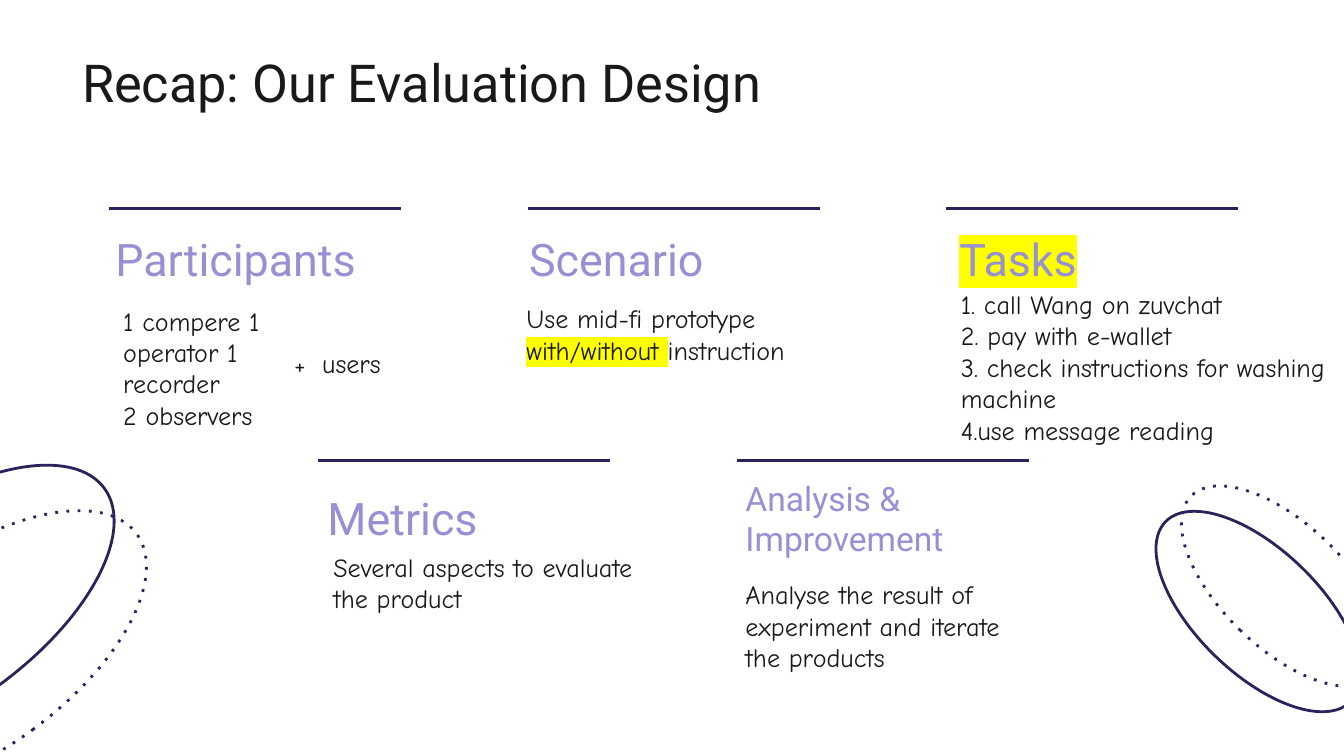
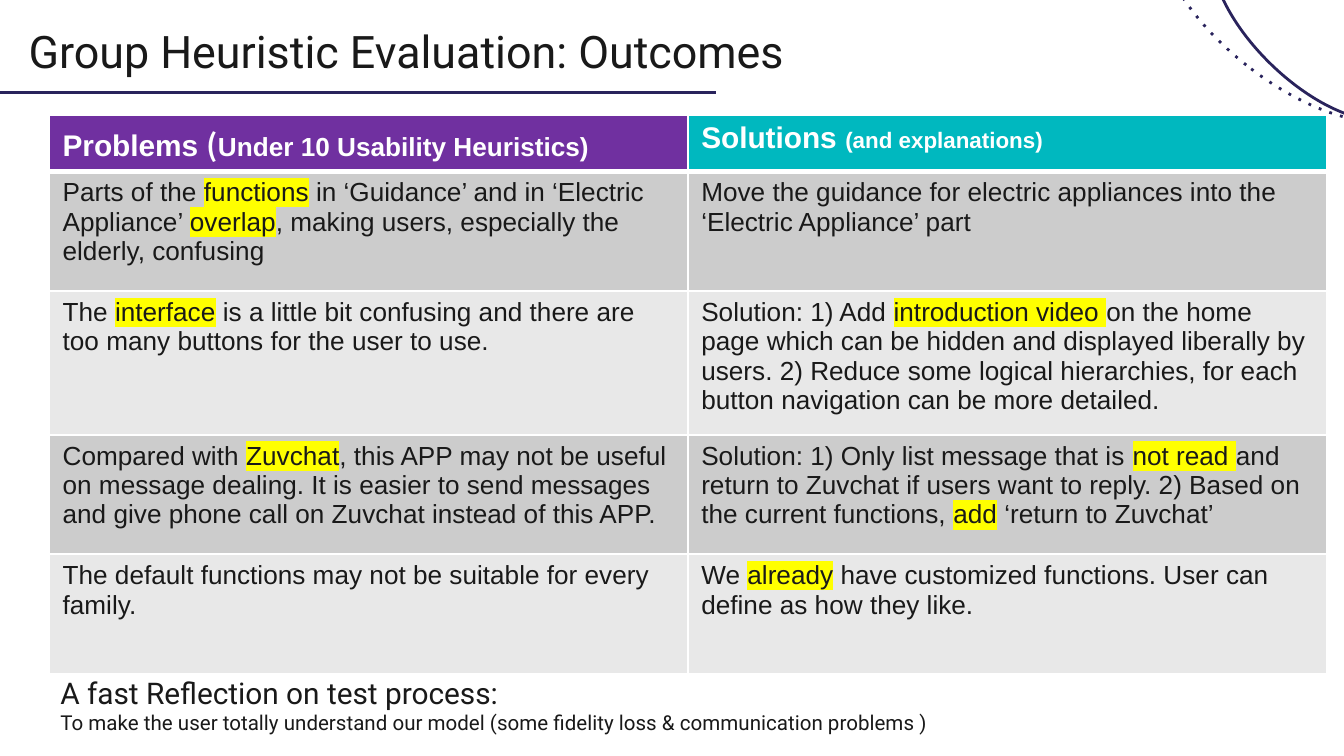
from dataclasses import dataclass, replace
from typing import Any, NamedTuple, Optional

import lxml.etree
import pptx
import pptx.dml.color
import pptx.enum.dml
import pptx.enum.shapes
import pptx.enum.text
import pptx.oxml.ns
import pptx.util

Cm = pptx.util.Cm
Pt = pptx.util.Pt
qn = pptx.oxml.ns.qn


@dataclass(frozen=True)
class Style:
    size: float
    font: str
    colour: str
    bold: bool = False


@dataclass(frozen=True)
class Theme:
    background: str = "FFFFFF"
    line: str = "29235C"
    highlight: str = "FFFF00"
    border: str = "FFFFFF"
    header_fills: tuple[str, str] = ("7030A0", "00B8BF")
    row_fills: tuple[str, str] = ("CCCCCC", "E8E8E8")
    line_width: float = 1.5
    inset: float = 0.25
    title: Style = Style(28, "Roboto", "191919")
    heading: Style = Style(24, "Roboto", "9790D5")
    body: Style = Style(14, "Comic Neue", "191919")
    header: Style = Style(16, "Arial", "FFFFFF", True)
    cell: Style = Style(14, "Arial", "191919")
    reflection: Style = Style(16, "Roboto", "191919")


THEME = Theme()


class Box(NamedTuple):
    left: float
    top: float
    width: float
    height: float


class Span(NamedTuple):
    text: str
    style: Style


class Oval(NamedTuple):
    box: Box
    rotation: float
    dotted: bool = False


class Section(NamedTuple):
    heading: str
    heading_box: Box
    lines: list[str]
    body_box: Box
    rule_left: float
    rule_top: float
    heading_size: float = 24


Paragraph = list[Span]

# Rules above the sections: the lower row is shifted by half a step.
RULE_LEFT, RULE_STEP, RULE_WIDTH = 2.06, 7.91, 5.52
UPPER, LOWER = 3.94, 8.71
LOWER_LEFT = RULE_LEFT + RULE_STEP / 2

# A part between two bars is highlighted.
SECTIONS = [
    Section("Participants", Box(1.93, UPPER, 6.48, 1.9),
            ["1 compere 1 operator 1 recorder", "2 observers"],
            Box(2.08, 5.82, 3.28, 2.26), RULE_LEFT, UPPER),
    Section("Scenario", Box(9.75, UPPER, 5.51, 1.9),
            ["Use mid-fi prototype |with/without |instruction"],
            Box(9.7, 5.64, 7.04, 1.35), RULE_LEFT + RULE_STEP, UPPER),
    Section("|Tasks|", Box(17.88, UPPER, 5.61, 1.9),
            ["1. call Wang on zuvchat", "2. pay with e-wallet",
             "3. check instructions for washing machine", "4.use message reading"],
            Box(17.91, 4.98, 7.44, 3.91), RULE_LEFT + 2 * RULE_STEP, UPPER),
    Section("Metrics", Box(5.94, 8.84, 5.61, 1.9),
            ["Several aspects to evaluate the product"],
            Box(6.05, 10.44, 6.43, 1.14), LOWER_LEFT, LOWER),
    Section("Analysis & Improvement", Box(13.84, 8.84, 7.2, 1.9),
            ["Analyse the result of experiment and iterate the products"],
            Box(13.84, 11.15, 5.56, 1.35), LOWER_LEFT + RULE_STEP, LOWER, 18),
]

DESIGN_OVALS = [
    Oval(Box(23.09, 8.64, 2.34, 4.88), 314.1, True),
    Oval(Box(22.61, 9.12, 2.34, 4.88), 314.1),
    Oval(Box(-2.87, 7.7, 3.63, 7.52), 233.6),
    Oval(Box(-2.26, 8.56, 3.63, 7.52), 233.6, True),
]
OUTCOME_OVALS = [
    Oval(Box(22.99, -3.02, 2.97, 6.17), 308.4, True),
    Oval(Box(23.67, -2.06, 2.34, 4.88), 314.1),
]

HEADERS: list[Paragraph] = [
    [Span("Problems ", THEME.header),
     Span("(", replace(THEME.header, font="Noto Sans CJK SC")),
     Span("Under 10 Usability Heuristics)", replace(THEME.header, size=14))],
    [Span("Solutions ", THEME.header),
     Span("(and explanations)", replace(THEME.header, size=12))],
]
OUTCOMES = [
    ("Parts of the |functions| in ‘Guidance’ and in ‘Electric Appliance’ |overlap|, "
     "making users, especially the elderly, confusing",
     "Move the guidance for electric appliances into the ‘Electric Appliance’ part"),
    ("The |interface| is a little bit confusing and there are too many buttons "
     "for the user to use.",
     "Solution: 1) Add |introduction video |on the home page which can be hidden and "
     "displayed liberally by users. 2) Reduce some logical hierarchies, for each "
     "button navigation can be more detailed."),
    ("Compared with |Zuvchat|, this APP may not be useful on message dealing. It is "
     "easier to send messages and give phone call on Zuvchat instead of this APP.",
     "Solution: 1) Only list message that is |not read |and return to Zuvchat if users "
     "want to reply. 2) Based on the current functions, |add| ‘return to Zuvchat’"),
    ("The default functions may not be suitable for every family.",
     "We |already| have customized functions. User can define as how they like."),
]
ROW_HEIGHTS = [0.89, 2.26, 2.72, 2.26, 2.26]


def rgb(colour: str) -> pptx.dml.color.RGBColor:
    return pptx.dml.color.RGBColor.from_string(colour)


def lengths(box: Box) -> list[pptx.util.Length]:
    return [Cm(value) for value in box]


def add_run(paragraph: Any, text: str, style: Style, highlighted: bool) -> None:
    run = paragraph.add_run()
    run.text = text
    run.font.size = Pt(style.size)
    run.font.bold = style.bold
    run.font.color.rgb = rgb(style.colour)
    if highlighted:
        mark = lxml.etree.SubElement(run.font._element, qn("a:highlight"))
        lxml.etree.SubElement(mark, qn("a:srgbClr")).set("val", THEME.highlight)
    run.font.name = style.font


def write(frame: Any, paragraphs: list[Paragraph]) -> None:
    """Fill a text frame; parts between bars are highlighted."""
    for index, spans in enumerate(paragraphs):
        paragraph = frame.add_paragraph() if index else frame.paragraphs[0]
        paragraph.alignment = pptx.enum.text.PP_ALIGN.LEFT
        for span in spans:
            for position, part in enumerate(span.text.split("|")):
                if part:
                    add_run(paragraph, part, span.style, position % 2 == 1)


def format_frame(frame: Any) -> None:
    frame.word_wrap = True
    frame.auto_size = pptx.enum.text.MSO_AUTO_SIZE.NONE
    frame.vertical_anchor = pptx.enum.text.MSO_ANCHOR.MIDDLE
    frame.margin_left = frame.margin_right = Cm(THEME.inset)
    frame.margin_top = frame.margin_bottom = Cm(THEME.inset)


def add_text(slide: Any, box: Box, paragraphs: list[Paragraph]) -> None:
    frame = slide.shapes.add_textbox(*lengths(box)).text_frame
    format_frame(frame)
    write(frame, paragraphs)


def add_titled_slide(deck: Any, title: str, box: Box, style: Style,
                     left_inset: Optional[float] = None) -> Any:
    slide = deck.slides.add_slide(deck.slide_layouts[5])
    slide.background.fill.solid()
    slide.background.fill.fore_color.rgb = rgb(THEME.background)
    heading = slide.shapes.title
    heading.left, heading.top, heading.width, heading.height = lengths(box)
    format_frame(heading.text_frame)
    if left_inset is not None:
        heading.text_frame.margin_left = Cm(left_inset)
    write(heading.text_frame, [[Span(title, style)]])
    return slide


def format_line(line: Any) -> None:
    line.color.rgb = rgb(THEME.line)
    line.width = Pt(THEME.line_width)


def add_rule(slide: Any, left: float, top: float, width: float) -> None:
    rule = slide.shapes.add_connector(
        pptx.enum.shapes.MSO_CONNECTOR.STRAIGHT,
        Cm(left), Cm(top), Cm(left + width), Cm(top))
    format_line(rule.line)
    lxml.etree.SubElement(rule.element.spPr, qn("a:effectLst"))


def add_oval(slide: Any, oval: Oval) -> None:
    ring = slide.shapes.add_shape(pptx.enum.shapes.MSO_SHAPE.OVAL, *lengths(oval.box))
    ring.rotation = oval.rotation
    ring.shadow.inherit = False
    ring.fill.background()
    format_line(ring.line)
    if oval.dotted:
        ring.line.dash_style = pptx.enum.dml.MSO_LINE.ROUND_DOT
        ring.element.spPr.find(".//" + qn("a:prstDash")).set("val", "dot")


def format_cell(cell: Any, fill: str, top: float, bottom: float) -> None:
    """Set the white borders, whose widths are in points, and then the fill."""
    properties = cell._tc.get_or_add_tcPr()
    for side, width in (("L", 1), ("R", 1), ("T", top), ("B", bottom)):
        border = lxml.etree.SubElement(properties, qn(f"a:ln{side}"), w=str(Pt(width)))
        solid = lxml.etree.SubElement(border, qn("a:solidFill"))
        lxml.etree.SubElement(solid, qn("a:srgbClr")).set("val", THEME.border)
    cell.fill.solid()
    cell.fill.fore_color.rgb = rgb(fill)


def add_outcomes(slide: Any, box: Box) -> None:
    rows = [HEADERS] + [[[Span(text, THEME.cell)] for text in pair] for pair in OUTCOMES]
    table = slide.shapes.add_table(len(rows), len(HEADERS), *lengths(box)).table
    for column in table.columns:
        column.width = Cm(box.width / len(HEADERS))
    for index, (row, height) in enumerate(zip(rows, ROW_HEIGHTS)):
        table.rows[index].height = Cm(height)
        for side, spans in enumerate(row):
            cell = table.cell(index, side)
            fill = THEME.row_fills[(index - 1) % 2] if index else THEME.header_fills[side]
            format_cell(cell, fill, 3 if index == 1 else 1, 3 if index == 0 else 1)
            write(cell.text_frame, [spans])


def build_design(deck: Any) -> None:
    slide = add_titled_slide(deck, "Recap: Our Evaluation Design",
                             Box(1.3, 0.74, 21.41, 1.6), THEME.title)
    for section in SECTIONS:
        heading = replace(THEME.heading, size=section.heading_size)
        add_text(slide, section.heading_box, [[Span(section.heading, heading)]])
        add_text(slide, section.body_box,
                 [[Span(line, THEME.body)] for line in section.lines])
        add_rule(slide, section.rule_left, section.rule_top, RULE_WIDTH)
    for oval in DESIGN_OVALS:
        add_oval(slide, oval)
    add_text(slide, Box(5.84, 5.74, 1.78, 2.26), [[Span("users", THEME.body)]])
    add_text(slide, Box(5.31, 6.12, 0.84, 1.52), [[Span("+", THEME.body)]])


def build_outcomes(deck: Any) -> None:
    slide = add_titled_slide(deck, "Group Heuristic Evaluation: Outcomes",
                             Box(0.08, 0.15, 21.41, 1.6),
                             replace(THEME.title, size=24), left_inset=0.46)
    add_rule(slide, -5.69, 1.75, 19.23)
    for oval in OUTCOME_OVALS:
        add_oval(slide, oval)
    add_outcomes(slide, Box(0.93, 2.17, 24.14, sum(ROW_HEIGHTS)))
    add_text(slide, Box(0.89, 12.52, 21.41, 1.6), [
        [Span("A fast Reflection on test process:", THEME.reflection)],
        [Span("To make the user totally understand our model "
              "(some fidelity loss & communication problems )",
              replace(THEME.reflection, size=11))],
    ])


def main() -> None:
    deck = pptx.Presentation()
    deck.slide_width, deck.slide_height = Cm(25.4), Cm(14.29)
    build_design(deck)
    build_outcomes(deck)
    deck.save("out.pptx")


if __name__ == "__main__":
    main()
